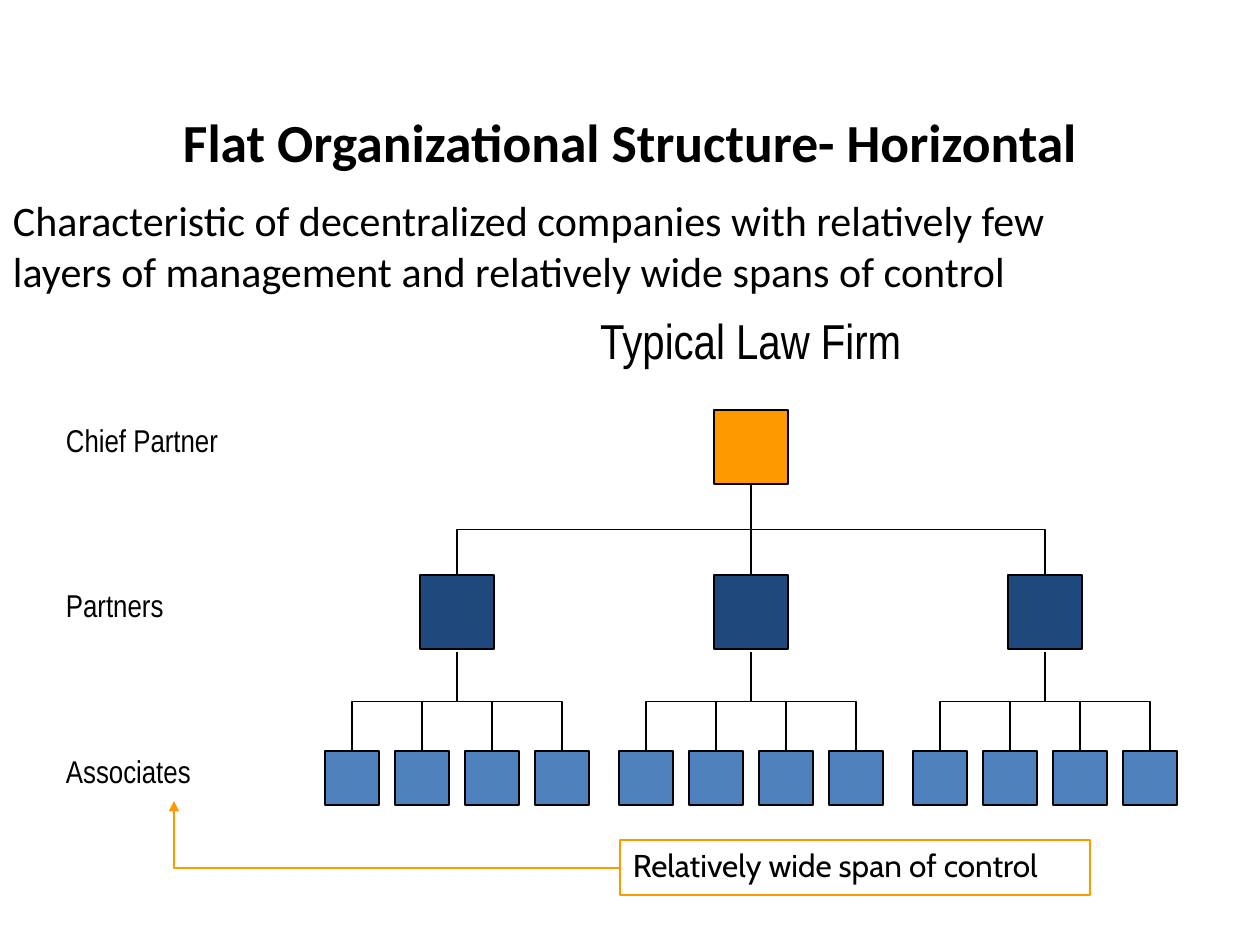
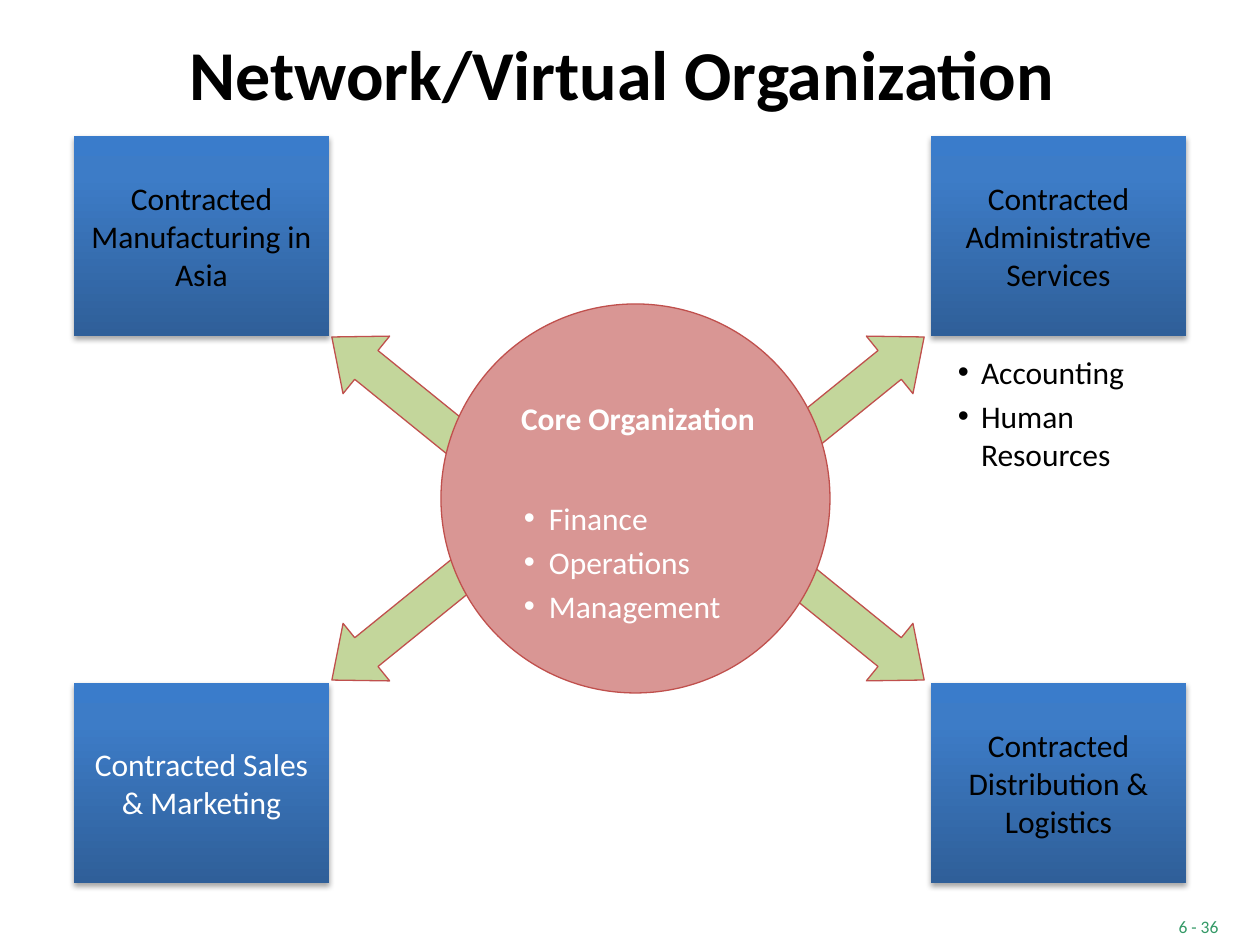
from copy import deepcopy

from lxml import etree
from pptx import Presentation
from pptx.dml.color import RGBColor
from pptx.enum.shapes import MSO_CONNECTOR, MSO_SHAPE
from pptx.enum.text import MSO_ANCHOR, PP_ALIGN
from pptx.oxml.ns import qn
from pptx.util import Emu, Pt

RECT, OVAL, UP_ARROW = MSO_SHAPE.RECTANGLE, MSO_SHAPE.OVAL, MSO_SHAPE.UP_ARROW
STRAIGHT, ELBOW = MSO_CONNECTOR.STRAIGHT, MSO_CONNECTOR.ELBOW
LEFT, CENTER = PP_ALIGN.LEFT, PP_ALIGN.CENTER
TOP, MIDDLE = MSO_ANCHOR.TOP, MSO_ANCHOR.MIDDLE

# Shared look
PX_PER_INCH = 126
BLACK, WHITE, ORANGE, NAVY, BLUE = "000000", "FFFFFF", "FF9900", "1F497D", "4F81BD"
GREEN, RED, ROSE, PAGE_GREEN = "C3D69B", "C0504D", "D99694", "339966"
CARD_STOPS = [(0, "2F5F99"), (0.8, "3D7CC7"), (1, "3A7CCB")]
BODY_FONT, CHART_FONT, CALLOUT_FONT = "Calibri", "Arial Narrow", "Cabin"
PAD = (13, 6)  # side and top inset
LINE_WIDTH = 0.75

# Slide 1: flat structure
FLAT_TITLE = "Flat Organizational Structure- Horizontal"
FLAT_BODY = ("Characteristic of decentralized companies with relatively few "
             "layers of management and relatively wide spans of control")
FIRM_TITLE = "Typical Law Firm"
LEVELS = [("Chief Partner", 415), ("Partners", 580), ("Associates", 746)]
CALLOUT = "Relatively wide span of control"
CHIEF_X, CHIEF_TOP, PARTNER_TOP, ASSOCIATE_TOP = 751, 410, 575, 751
HEAD_SIDE, ASSOCIATE_SIDE = 74, 54
PARTNER_PITCH, ASSOCIATE_PITCH = 294, 70
PARTNERS, ASSOCIATES = 3, 4
PARTNER_LINK_GAP = 3

# Slide 2: network organization
NETWORK_TITLE = "Network/Virtual Organization "
CARDS = [  # text, column, row, text colour
    ("Contracted Manufacturing in Asia", 0, 0, BLACK),
    ("Contracted Administrative Services", 1, 0, BLACK),
    ("Contracted Distribution & Logistics", 1, 1, BLACK),
    ("Contracted Sales & Marketing", 0, 1, WHITE),
]
CARD_LEFTS, CARD_TOPS, CARD_SIZE = (74, 931), (136, 683), (255, 200)
ARROWS = [(0, 0, 309), (1, 0, 51), (0, 1, 231), (1, 1, 129)]  # column, row, turn
ARROW_LEFTS, ARROW_TOPS, ARROW_SIZE = (364, 818), (304, 535), (74, 178)
SERVICES = ["Accounting", "Human Resources"]
CORE_TITLE = "Core Organization"
CORE_TASKS = ["Finance", "Operations", "Management"]
PAGE_NUMBER = "6 - 36"


def px(length):
    return Emu(round(length * 914400 / PX_PER_INCH))


def color(code):
    return RGBColor.from_string(code)


def add_box(page, kind, at, fill=None, line=None):
    """Add a preset shape without shadow."""
    box = page.shapes.add_shape(kind, *map(px, at))
    box.shadow.inherit = False
    if fill:
        box.fill.solid()
        box.fill.fore_color.rgb = color(fill)
    else:
        box.fill.background()
    if line:
        box.line.color.rgb = color(line)
        box.line.width = Pt(LINE_WIDTH)
    else:
        box.line.fill.background()
    return box


def put_text(box, lines, size, font=BODY_FONT, ink=BLACK, bold=False, align=LEFT,
             anchor=TOP, pad=PAD, after=0, bullet=None):
    """Write one paragraph per line; bullet is (text indent, hanging) in px."""
    frame = box.text_frame
    side, top = map(px, pad)
    frame_format = {"word_wrap": True, "vertical_anchor": anchor, "margin_left": side,
                    "margin_right": side, "margin_top": top, "margin_bottom": top}
    for name, value in frame_format.items():
        setattr(frame, name, value)
    for number, line in enumerate(lines):
        para = frame.add_paragraph() if number else frame.paragraphs[0]
        para.alignment = align
        para.space_after = Pt(after)
        if bullet:
            indent, hanging = map(px, bullet)
            settings = para._p.get_or_add_pPr()
            settings.set("marL", str(indent))
            settings.set("indent", str(-hanging))
            etree.SubElement(settings, qn("a:buFont")).set("typeface", "Arial")
            etree.SubElement(settings, qn("a:buChar")).set("char", "•")
        span = para.add_run()
        span.text = line
        span_format = {"name": font, "size": Pt(size), "bold": bold}
        for name, value in span_format.items():
            setattr(span.font, name, value)
        span.font.color.rgb = color(ink)


def add_text(page, at, lines, size, **style):
    put_text(page.shapes.add_textbox(*map(px, at)), lines, size, **style)


def add_title(page, at, text, size):
    add_text(page, at, [text], size, bold=True, align=CENTER, anchor=MIDDLE)


def add_link(page, kind, start, end, ink=BLACK, turn=0):
    """Add a plain line; turn is a clockwise rotation in degrees."""
    link = page.shapes.add_connector(kind, *map(px, (*start, *end)))
    link.line.color.rgb = color(ink)
    link.line.width = Pt(LINE_WIDTH)
    properties = link._element.spPr
    etree.SubElement(properties, qn("a:effectLst"))
    if turn:
        properties.find(qn("a:xfrm")).set("rot", str(turn * 60000))
    return link


def add_branch(page, start, end):
    """Link a parent down to a child, leaving and arriving vertically."""
    (x1, y1), (x2, y2) = start, end
    if x1 == x2:
        add_link(page, STRAIGHT, start, end)
        return
    mid_x, mid_y = (x1 + x2) / 2, (y1 + y2) / 2
    half_drop, half_span = (y2 - y1) / 2, abs(x2 - x1) / 2
    side, turn = (-1, 90) if x2 < x1 else (1, 270)
    add_link(page, ELBOW, (mid_x + side * half_drop, mid_y - half_span),
             (mid_x - side * half_drop, mid_y + half_span), turn=turn)


def add_square(page, center_x, top, side, fill):
    add_box(page, RECT, (center_x - side / 2, top, side, side), fill, BLACK)


def spread(center, count, pitch):
    """Centres of count items placed evenly around center."""
    return [center + (i - (count - 1) / 2) * pitch for i in range(count)]


def add_card(page, at, text, ink):
    """Add a gradient card with a soft shadow below."""
    card = add_box(page, RECT, at)
    card.fill.gradient()
    card.fill.gradient_angle = 90
    stop_list = card._element.spPr.find(".//" + qn("a:gsLst"))
    stop_list.append(deepcopy(stop_list[0]))
    for stop, (position, code) in zip(card.fill.gradient_stops, CARD_STOPS):
        stop.position = position
        stop.color.rgb = color(code)
    effects = card._element.spPr.find(qn("a:effectLst"))
    shadow = etree.SubElement(effects, qn("a:outerShdw"), blurRad="39400", dist="22900",
                              dir="5400000", rotWithShape="0")
    shade = etree.SubElement(shadow, qn("a:srgbClr"), val=BLACK)
    etree.SubElement(shade, qn("a:alpha"), val="35000")
    put_text(card, [text], 18, ink=ink, align=CENTER, anchor=MIDDLE)


def build_flat(page):
    add_title(page, (0, 116, 1260, 50), FLAT_TITLE, 30.6)
    add_text(page, (0, 189, 1155, 126), [FLAT_BODY], 24)
    add_text(page, (509, 305, 483, 72), [FIRM_TITLE], 28, font=CHART_FONT, align=CENTER)
    for label, top in LEVELS:
        add_text(page, (53, top, 242, 55), [label], 18, font=CHART_FONT)

    # Chief, partners and their associates
    add_square(page, CHIEF_X, CHIEF_TOP, HEAD_SIDE, ORANGE)
    for partner_x in spread(CHIEF_X, PARTNERS, PARTNER_PITCH):
        add_square(page, partner_x, PARTNER_TOP, HEAD_SIDE, NAVY)
        add_branch(page, (CHIEF_X, CHIEF_TOP + HEAD_SIDE), (partner_x, PARTNER_TOP))
        link_top = PARTNER_TOP + HEAD_SIDE + PARTNER_LINK_GAP
        for associate_x in spread(partner_x, ASSOCIATES, ASSOCIATE_PITCH):
            add_square(page, associate_x, ASSOCIATE_TOP, ASSOCIATE_SIDE, BLUE)
            add_branch(page, (partner_x, link_top), (associate_x, ASSOCIATE_TOP))

    # Callout with an arrow up to the associates label
    callout = add_box(page, RECT, (620, 840, 470, 55), line=ORANGE)
    put_text(callout, [CALLOUT], 18, font=CALLOUT_FONT)
    pointer = add_link(page, ELBOW, (174, 801), (620, 868), ORANGE, turn=180)
    pointer._element.spPr.find(qn("a:prstGeom")).set("prst", "bentConnector2")
    outline = pointer.line._get_or_add_ln()
    etree.SubElement(outline, qn("a:tailEnd")).set("type", "triangle")


def build_network(page):
    for column, row, turn in ARROWS:
        arrow = add_box(page, UP_ARROW, (ARROW_LEFTS[column], ARROW_TOPS[row], *ARROW_SIZE),
                        GREEN, RED)
        arrow.adjustments[0], arrow.adjustments[1] = 0.5, 0.6
        arrow.rotation = turn
    add_title(page, (0, 10, 1260, 126), NETWORK_TITLE, 40)
    add_text(page, (1171, 916, 55, 30), [PAGE_NUMBER], 10, ink=PAGE_GREEN, align=CENTER,
             pad=(0, 0))
    for text, column, row, ink in CARDS:
        add_card(page, (CARD_LEFTS[column], CARD_TOPS[row], *CARD_SIZE), text, ink)
    add_text(page, (945, 347, 231, 147), SERVICES, 18, after=3.6, bullet=(23, 23))

    # Core circle
    add_box(page, OVAL, (441, 304, 389, 389), ROSE, RED)
    heading = add_box(page, RECT, (499, 370, 278, 95), ROSE)
    put_text(heading, [CORE_TITLE], 18, ink=WHITE, bold=True, align=CENTER, anchor=MIDDLE,
             pad=(0, 0))
    add_text(page, (494, 494, 278, 136), CORE_TASKS, 18, ink=WHITE, anchor=MIDDLE,
             pad=(0, 0), after=3.6, bullet=(55, 25))


def main():
    deck = Presentation()
    deck.slide_width, deck.slide_height = px(1260), px(945)
    blank = deck.slide_layouts[6]
    for build in (build_flat, build_network):
        build(deck.slides.add_slide(blank))
    deck.save("out.pptx")


if __name__ == "__main__":
    main()
